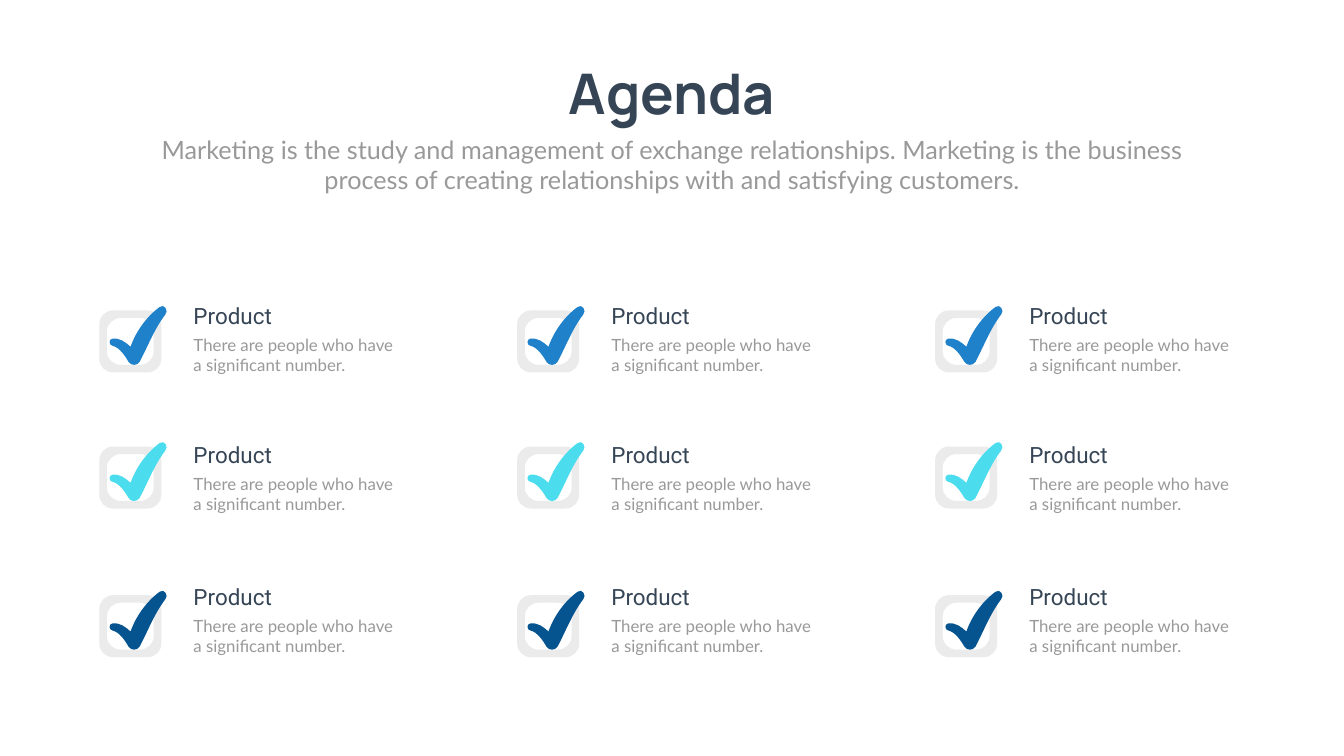
from lxml import etree
from pptx import Presentation
from pptx import util as u
from pptx.dml.color import RGBColor
from pptx.enum import text
from pptx.oxml import ns

PX = u.Inches(1) // 100

SLATE = RGBColor(0x36, 0x45, 0x56)
GREY = RGBColor(0x99, 0x99, 0x99)
PALE = RGBColor(0xEB, 0xEB, 0xEB)
BLUE = RGBColor(0x1E, 0x81, 0xCA)
CYAN = RGBColor(0x4B, 0xDC, 0xED)
NAVY = RGBColor(0x06, 0x54, 0x8F)

COLUMN_LEFT, COLUMN_STEP, COLUMNS = 197, 829, 3
ROWS = [(616, 595, BLUE), (886, 870, CYAN), (1181, 1153, NAVY)]

TICK = [
    [(120, -7)],
    [(94, 12), (73, 41), (62, 72)],
    [(52, 63), (41, 54), (26, 56)],
    [(18, 57), (19, 69), (26, 70)],
    [(40, 73), (51, 90), (58, 102)],
    [(63, 110), (75, 110), (80, 102)],
    [(97, 70), (109, 37), (131, 8)],
    [(138, 1), (129, -14), (120, -7)],
]


def add_text(page, words, left, top, width, height, *, size, font, colour,
             bold=False, align=text.PP_ALIGN.LEFT, wrap=True):
    box = page.shapes.add_textbox(left * PX, top * PX, width * PX, height * PX)
    frame = box.text_frame
    frame.word_wrap = wrap
    frame.auto_size = text.MSO_AUTO_SIZE.SHAPE_TO_FIT_TEXT
    para = frame.paragraphs[0]
    para.alignment = align
    span = para.add_run()
    span.text = words
    span.font.size = u.Pt(size)
    span.font.name = font
    span.font.bold = bold
    span.font.color.rgb = colour


def rounded_square(inset, size, radius):
    low, high = inset, inset + size
    pull = radius * 0.45
    corners = [(low, low, 1, 1), (low, high, 1, -1),
               (high, high, -1, -1), (high, low, -1, 1)]
    segments = []
    for index, (x, y, dx, dy) in enumerate(corners):
        arc = [(x + dx * radius, y), (x + dx * pull, y),
               (x, y + dy * pull), (x, y + dy * radius)]
        if index % 2:
            arc.reverse()
        segments += [arc[:1], arc[1:]]
    return segments


def bend_segments(outline, segments):
    lines = iter(outline._element.findall(".//" + ns.qn("a:lnTo")))
    for segment in segments:
        group = [next(lines) for point in segment]
        if len(group) == 3:
            curve = etree.Element(ns.qn("a:cubicBezTo"))
            group[0].addprevious(curve)
            for line in group:
                curve.append(line[0])
                line.getparent().remove(line)


def add_outline(page, left, top, contours, colour):
    builder = None
    for contour in contours:
        points = [((left + x) * PX, (top + y) * PX)
                  for segment in contour for x, y in segment]
        if builder is None:
            builder = page.shapes.build_freeform(*points[0])
        else:
            builder.move_to(*points[0])
        builder.add_line_segments(points[1:], close=True)
    outline = builder.convert_to_shape()
    bend_segments(outline, [part for contour in contours for part in contour[1:]])
    outline.shadow.inherit = False
    outline.fill.solid()
    outline.fill.fore_color.rgb = colour
    outline.line.fill.background()


def add_heading(page, left, top, width):
    add_text(page, "Agenda", left + (width - 476) // 2, top, 476, 145,
             size=80, font="Manrope", colour=SLATE, bold=True,
             align=text.PP_ALIGN.CENTER, wrap=False)
    add_text(page, "Marketing is the study and management of exchange "
             "relationships. Marketing is the business process of creating "
             "relationships with and satisfying customers.",
             left, top + 149, width, 131, size=36, font="Lato", colour=GREY,
             align=text.PP_ALIGN.CENTER)


def add_checkbox(page, left, top, colour):
    frame = [rounded_square(0, 123, 27), rounded_square(15, 93, 27)]
    add_outline(page, left, top, frame, PALE)
    add_outline(page, left, top, [TICK], colour)


def add_product(page, left, top):
    add_text(page, "Product", left, top, 393, 64,
             size=32, font="Roboto", colour=SLATE)
    add_text(page, "There are people who have a significant number.",
             left, top + 64, 437, 91, size=24, font="Lato", colour=GREY)


def main():
    deck = Presentation()
    deck.slide_width, deck.slide_height = 2666 * PX, 1500 * PX
    page = deck.slides.add_slide(deck.slide_layouts[6])
    add_heading(page, 292, 112, 2082)
    for column in range(COLUMNS):
        left = COLUMN_LEFT + column * COLUMN_STEP
        for checkbox_top, product_top, colour in ROWS:
            add_checkbox(page, left, checkbox_top, colour)
            add_product(page, left + 177, product_top)
    deck.save("out.pptx")


if __name__ == "__main__":
    main()
